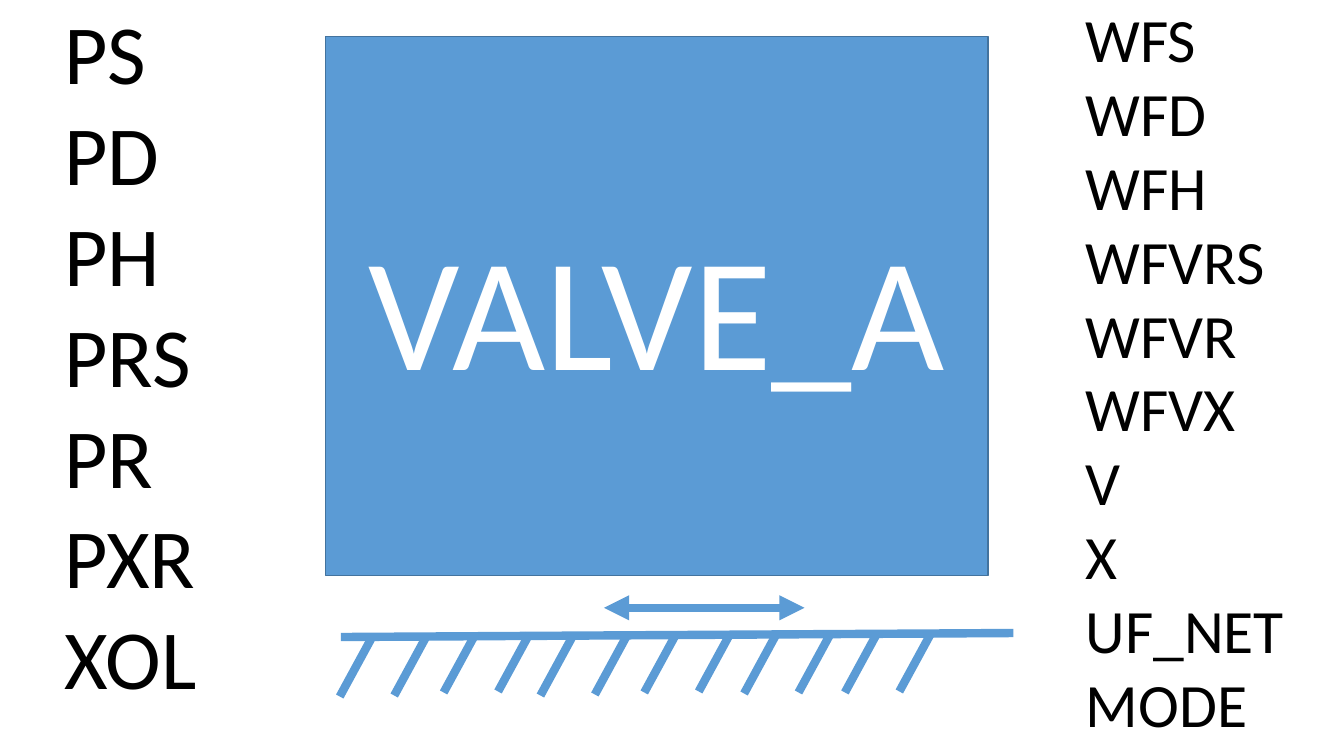
"""Build the VALVE_A slide: block, sliding ground symbol and parameter lists."""
from lxml import etree
from pptx import Presentation
from pptx.dml.color import RGBColor
from pptx.enum import shapes, text
from pptx.oxml import ns
from pptx.util import Inches, Pt

COLORS = {"fill": "5B9BD5", "outline": "43739E", "light": "FFFFFF", "dark": "000000"}
FONT = "Calibri"

VALVE = {"name": "VALVE_A", "box": (3.23, 0.36, 6.57, 5.35), "size": 115}
LISTS = [
    {"box": (0.54, -0.04, 1.53, 7.17), "size": 60,
     "lines": ["PS", "PD", "PH", "PRS", "PR", "PXR", "XOL"]},
    {"box": (10.67, -0.04, 2.19, 7.51), "size": 44,
     "lines": ["WFS", "WFD", "WFH", "WFVRS", "WFVR", "WFVX", "V", "X", "UF_NET", "MODE"]},
]
GROUND = (3.38, 6.32, 10.05, 6.28)
MOTION_ARROW = (5.99, 6.03, 7.98, 6.03)
HATCH_PAIR_STARTS = [(3.68, 6.34), (4.71, 6.3), (5.67, 6.33), (6.7, 6.3), (7.69, 6.31), (8.69, 6.3)]
HATCH_GAP = (0.54, -0.01)
HATCH_STROKE = (-0.31, 0.57)


def color(name):
    return RGBColor.from_string(COLORS[name])


def write_lines(shape, lines, size, color_name, alignment, frame_format):
    frame = shape.text_frame
    for attribute, value in frame_format.items():
        setattr(frame, attribute, value)
    for index, line in enumerate(lines):
        paragraph = frame.paragraphs[0] if index == 0 else frame.add_paragraph()
        paragraph.alignment = alignment
        run = paragraph.add_run()
        run.text = line
        for attribute, value in {"name": FONT, "size": Pt(size)}.items():
            setattr(run.font, attribute, value)
        run.font.color.rgb = color(color_name)


def add_line(parent, ends, arrowheads=False):
    connector = parent.shapes.add_connector(shapes.MSO_CONNECTOR.STRAIGHT, *map(Inches, ends))
    connector.line.color.rgb = color("fill")
    connector.line.width = Pt(6)
    if arrowheads:
        outline = connector.line._get_or_add_ln()
        for end in ("a:headEnd", "a:tailEnd"):
            etree.SubElement(outline, ns.qn(end), type="triangle")
    etree.SubElement(connector._element.spPr, ns.qn("a:effectLst"))


def add_valve(slide):
    valve = slide.shapes.add_shape(shapes.MSO_SHAPE.RECTANGLE, *map(Inches, VALVE["box"]))
    valve.shadow.inherit = False
    valve.fill.solid()
    valve.fill.fore_color.rgb = color("fill")
    valve.line.color.rgb = color("outline")
    valve.line.width = Pt(1)
    write_lines(valve, [VALVE["name"]], VALVE["size"], "light", text.PP_ALIGN.CENTER,
                {"vertical_anchor": text.MSO_ANCHOR.MIDDLE, "word_wrap": True})


def add_ground(slide):
    group = slide.shapes.add_group_shape()
    add_line(group, GROUND)
    for left, top in HATCH_PAIR_STARTS:
        for member in range(2):
            x = left + member * HATCH_GAP[0]
            y = top + member * HATCH_GAP[1]
            add_line(group, (x, y, x + HATCH_STROKE[0], y + HATCH_STROKE[1]))
    add_line(group, MOTION_ARROW, arrowheads=True)


def main():
    presentation = Presentation()
    presentation.slide_width = Inches(13.33)
    presentation.slide_height = Inches(7.5)
    slide = presentation.slides.add_slide(presentation.slide_layouts[6])
    add_valve(slide)
    add_ground(slide)
    for parameters in LISTS:
        box = slide.shapes.add_textbox(*map(Inches, parameters["box"]))
        write_lines(box, parameters["lines"], parameters["size"], "dark", text.PP_ALIGN.LEFT,
                    {"word_wrap": False, "auto_size": text.MSO_AUTO_SIZE.SHAPE_TO_FIT_TEXT})
    presentation.save("out.pptx")


if __name__ == "__main__":
    main()
